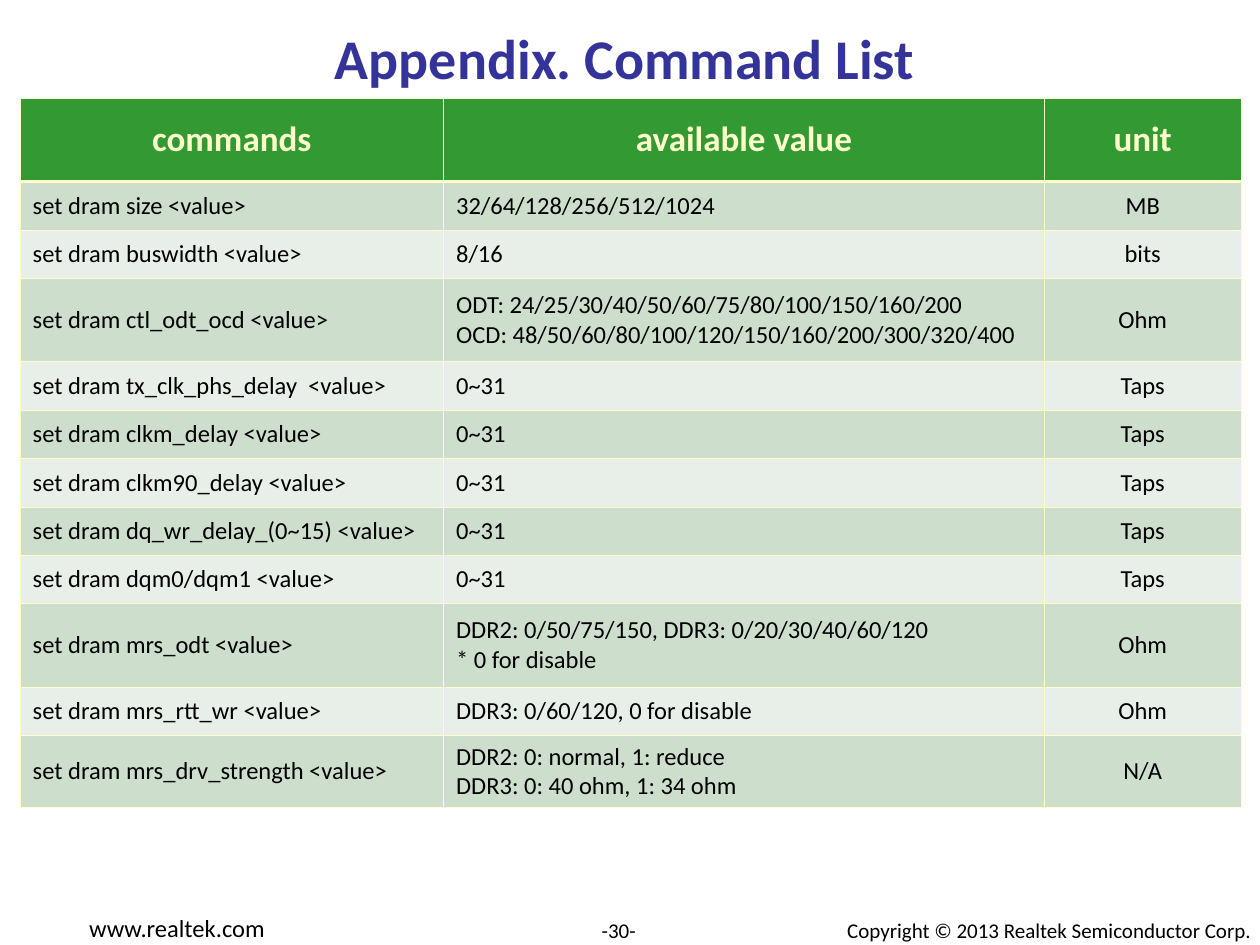
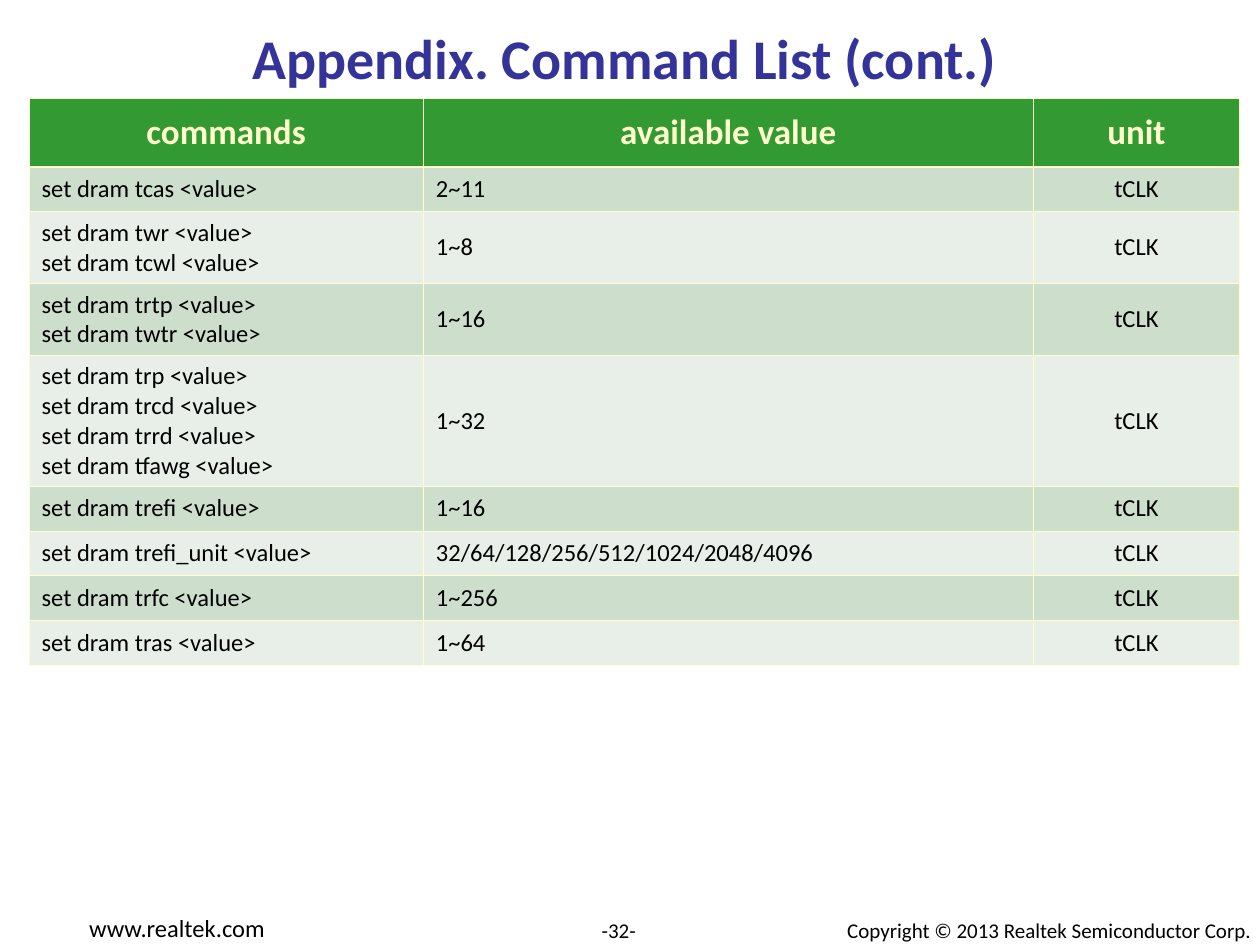
from typing import NamedTuple

from lxml.etree import SubElement
from pptx import Presentation
from pptx.dml.color import RGBColor
from pptx.enum.text import MSO_ANCHOR, PP_ALIGN
from pptx.oxml.ns import qn
from pptx.util import Pt

PX = 914400 // 200
FONT = "Calibri"
COLORS = {
    "title": "333399",
    "text": "000000",
    "header": "339933",
    "cream": "FFFFCC",
    "band_dark": "CDDECD",
    "band_light": "E8EFE8",
}
THIN, THICK = 0.45, 1.47
HEADINGS = ("commands", "available value", "unit")
TABLE_TOP = 156


class TextStyle(NamedTuple):
    size: int
    color: str = "text"
    bold: bool = False
    align: PP_ALIGN = PP_ALIGN.LEFT


class TextBox(NamedTuple):
    left: int
    top: int
    width: int
    height: int
    anchor: MSO_ANCHOR
    style: TextStyle


class Row(NamedTuple):
    command: str
    values: str
    unit: str
    height: int = 0


class CommandPage(NamedTuple):
    title: str
    number: int
    left: int
    columns: tuple[int, ...]
    header_height: int
    row_height: int
    rows: list[Row]


HEADER = TextStyle(20, "cream", True, PP_ALIGN.CENTER)
BODY = TextStyle(14)
UNIT = TextStyle(14, align=PP_ALIGN.CENTER)
TITLE = TextBox(34, 16, 1916, 150, MSO_ANCHOR.MIDDLE,
                TextStyle(32, "title", True, PP_ALIGN.CENTER))
PAGE_NUMBER = TextBox(890, 1406, 184, 100, MSO_ANCHOR.BOTTOM,
                      TextStyle(12, align=PP_ALIGN.CENTER))
COPYRIGHT = TextBox(1140, 1406, 866, 100, MSO_ANCHOR.BOTTOM,
                    TextStyle(12, align=PP_ALIGN.RIGHT))
WEBSITE = TextBox(122, 1406, 436, 100, MSO_ANCHOR.BOTTOM, BODY)

PAGES = [
    CommandPage("Appendix. Command List", 30, 32, (672, 954, 312), 132, 77, [
        Row("set dram size <value>", "32/64/128/256/512/1024", "MB"),
        Row("set dram buswidth <value>", "8/16", "bits"),
        Row("set dram ctl_odt_ocd <value>",
            "ODT: 24/25/30/40/50/60/75/80/100/150/160/200\n"
            "OCD: 48/50/60/80/100/120/150/160/200/300/320/400", "Ohm", 132),
        Row("set dram tx_clk_phs_delay  <value>", "0~31", "Taps"),
        Row("set dram clkm_delay <value>", "0~31", "Taps"),
        Row("set dram clkm90_delay <value>", "0~31", "Taps"),
        Row("set dram dq_wr_delay_(0~15) <value>", "0~31", "Taps"),
        Row("set dram dqm0/dqm1 <value>", "0~31", "Taps"),
        Row("set dram mrs_odt <value>",
            "DDR2: 0/50/75/150, DDR3: 0/20/30/40/60/120\n"
            "* 0 for disable", "Ohm", 132),
        Row("set dram mrs_rtt_wr <value>", "DDR3: 0/60/120, 0 for disable", "Ohm"),
        Row("set dram mrs_drv_strength <value>",
            "DDR2: 0: normal, 1: reduce\nDDR3: 0: 40 ohm, 1: 34 ohm", "N/A", 114),
    ]),
    CommandPage("Appendix. Command List (cont.)", 32, 46, (626, 968, 328), 109, 71, [
        Row("set dram tcas <value>", "2~11", "tCLK"),
        Row("set dram twr <value>\nset dram tcwl <value>", "1~8", "tCLK", 114),
        Row("set dram trtp <value>\nset dram twtr <value>", "1~16", "tCLK", 114),
        Row("set dram trp <value>\nset dram trcd <value>\n"
            "set dram trrd <value>\nset dram tfawg <value>", "1~32", "tCLK", 208),
        Row("set dram trefi <value>", "1~16", "tCLK"),
        Row("set dram trefi_unit <value>", "32/64/128/256/512/1024/2048/4096", "tCLK"),
        Row("set dram trfc <value>", "1~256", "tCLK"),
        Row("set dram tras <value>", "1~64", "tCLK"),
    ]),
]


def rgb(name: str) -> RGBColor:
    return RGBColor.from_string(COLORS[name])


def write(tf, text: str, style: TextStyle) -> None:
    tf.text = text
    for p in tf.paragraphs:
        p.alignment = style.align
        for r in p.runs:
            r.font.name = FONT
            r.font.size = Pt(style.size)
            r.font.bold = style.bold
            r.font.color.rgb = rgb(style.color)


def add_text(s, box: TextBox, text: str) -> None:
    sp = s.shapes.add_textbox(box.left * PX, box.top * PX, box.width * PX, box.height * PX)
    tf = sp.text_frame
    tf.word_wrap = True
    tf.vertical_anchor = box.anchor
    write(tf, text, box.style)


def add_borders(cell, top: float, bottom: float) -> None:
    tc_pr = cell._tc.get_or_add_tcPr()
    for side, width in (("L", THIN), ("R", THIN), ("T", top), ("B", bottom)):
        ln = SubElement(tc_pr, qn(f"a:ln{side}"), w=str(Pt(width)))
        fill = SubElement(ln, qn("a:solidFill"))
        SubElement(fill, qn("a:srgbClr"), val=COLORS["cream"])


def fill_cell(cell, text: str, style: TextStyle, row: int) -> None:
    add_borders(cell, THICK if row == 1 else THIN, THICK if row == 0 else THIN)
    band = "band_dark" if row % 2 else "band_light"
    cell.fill.solid()
    cell.fill.fore_color.rgb = rgb(band if row else "header")
    cell.vertical_anchor = MSO_ANCHOR.MIDDLE
    write(cell.text_frame, text, style)


def add_command_table(s, page: CommandPage) -> None:
    rows = [Row(*HEADINGS, page.header_height), *page.rows]
    heights = [row.height or page.row_height for row in rows]
    table = s.shapes.add_table(
        len(rows), len(page.columns), page.left * PX, TABLE_TOP * PX,
        sum(page.columns) * PX, sum(heights) * PX).table
    for column, width in zip(table.columns, page.columns):
        column.width = width * PX
    for i, (row, height) in enumerate(zip(rows, heights)):
        table.rows[i].height = height * PX
        styles = (BODY, BODY, UNIT) if i else (HEADER,) * 3
        for j, (text, style) in enumerate(zip(row[:3], styles)):
            fill_cell(table.cell(i, j), text, style, i)


def add_page(prs, page: CommandPage) -> None:
    s = prs.slides.add_slide(prs.slide_layouts[6])
    add_text(s, TITLE, page.title)
    add_text(s, PAGE_NUMBER, f"-{page.number}-")
    add_text(s, COPYRIGHT, "Copyright © 2013 Realtek Semiconductor Corp.")
    add_text(s, WEBSITE, "www.realtek.com")
    add_command_table(s, page)


def main() -> None:
    prs = Presentation()
    prs.slide_width, prs.slide_height = 2000 * PX, 1500 * PX
    for page in PAGES:
        add_page(prs, page)
    prs.save("out.pptx")


if __name__ == "__main__":
    main()
